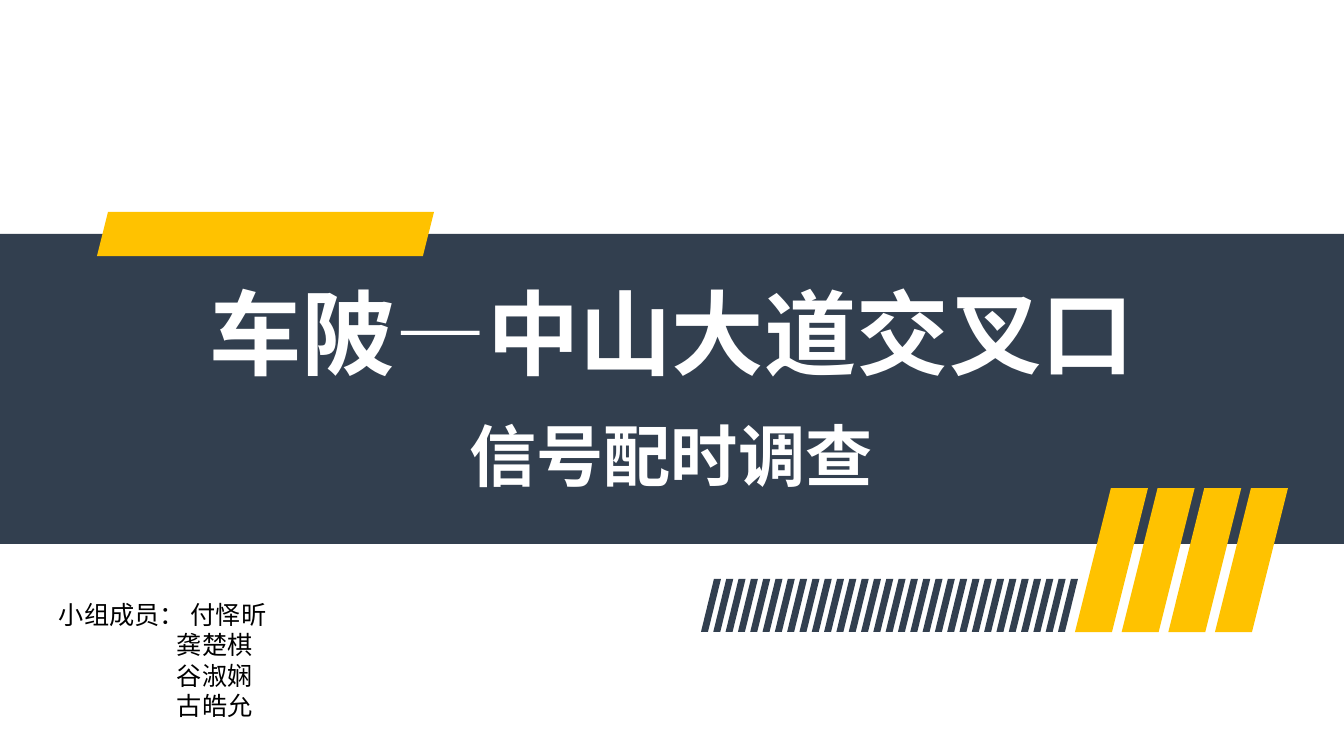
from dataclasses import dataclass

from lxml.etree import SubElement
from pptx import Presentation
from pptx.dml.color import RGBColor
from pptx.enum.shapes import MSO_SHAPE as Preset
from pptx.enum.text import MSO_ANCHOR as Anchor, MSO_AUTO_SIZE as AutoSize, PP_ALIGN as Align
from pptx.oxml.ns import qn
from pptx.shapes.base import BaseShape
from pptx.slide import Slide
from pptx.util import Emu, Pt

SLIDE_WIDTH, SLIDE_HEIGHT = 1344, 756
SCALE = 12192000 / SLIDE_WIDTH  # EMU in one px

NAVY = RGBColor(0x32, 0x3F, 0x4F)
YELLOW = RGBColor(0xFF, 0xC2, 0x00)
WHITE = RGBColor(0xFF, 0xFF, 0xFF)
BLACK = RGBColor(0x00, 0x00, 0x00)
FONT = "Noto Sans CJK SC"


@dataclass(frozen=True)
class Box:
    left: int
    top: int
    width: int
    height: int


@dataclass(frozen=True)
class Stripes:
    first_left: int
    last_left: int
    top: int
    height: int
    thickness: int
    slant: int
    count: int
    color: RGBColor


BAND = Box(0, 234, SLIDE_WIDTH, 310)
TAB = Box(97, 212, 337, 44)
TITLE = Box(168, 124, 1008, 263)
SUBTITLE = Box(167, 412, 1008, 182)
MEMBERS = Box(49, 594, 456, 132)
NAME_INDENT = 118

STRIPE_ROWS = [
    Stripes(1075, 1215, 488, 144, 37, 36, 4, YELLOW),
    Stripes(701, 1058, 579, 53, 7, 13, 30, NAVY),
]


def px(length: float) -> Emu:
    return Emu(round(length * SCALE))


def paint(shape: BaseShape, color: RGBColor) -> None:
    shape.shadow.inherit = False
    shape.fill.solid()
    shape.fill.fore_color.rgb = color
    shape.line.fill.background()


def add_block(slide: Slide, preset: Preset, box: Box, color: RGBColor) -> None:
    block = slide.shapes.add_shape(
        preset, px(box.left), px(box.top), px(box.width), px(box.height))
    paint(block, color)


def add_stripes(slide: Slide, row: Stripes) -> None:
    group = slide.shapes.add_group_shape()
    step = (row.last_left - row.first_left) / (row.count - 1)
    bottom = row.top + row.height
    for index in range(row.count):
        left = row.first_left + index * step
        outline = group.shapes.build_freeform(px(left + row.slant), px(row.top))
        outline.add_line_segments([
            (px(left + row.slant + row.thickness), px(row.top)),
            (px(left + row.thickness), px(bottom)),
            (px(left), px(bottom)),
        ])
        paint(outline.convert_to_shape(), row.color)


def write_text(shape: BaseShape, box: Box, lines: list[str], *, size: int,
               color: RGBColor, line_height: float, bold: bool = False,
               align: Align = Align.LEFT, anchor: Anchor = Anchor.TOP,
               bottom_inset: int = 5, hanging_indent: int = 0) -> None:
    shape.left, shape.top = px(box.left), px(box.top)
    shape.width, shape.height = px(box.width), px(box.height)
    frame = shape.text_frame
    frame.word_wrap = True
    frame.auto_size = AutoSize.NONE
    frame.vertical_anchor = anchor
    frame.margin_left = frame.margin_right = px(10)
    frame.margin_top, frame.margin_bottom = px(5), px(bottom_inset)
    for index, line in enumerate(lines):
        paragraph = frame.add_paragraph() if index else frame.paragraphs[0]
        paragraph.alignment = align
        paragraph.line_spacing = Pt(line_height)
        if index and hanging_indent:
            paragraph_format = paragraph._p.get_or_add_pPr()
            paragraph_format.set("marL", str(px(hanging_indent)))
            paragraph_format.set("indent", "0")
        run = paragraph.add_run()
        run.text = line
        run.font.size, run.font.bold = Pt(size), bold
        run.font.color.rgb = color
        run.font.name = FONT
        SubElement(run.font._element, qn("a:ea")).set("typeface", FONT)


def main() -> None:
    deck = Presentation()
    deck.slide_width, deck.slide_height = px(SLIDE_WIDTH), px(SLIDE_HEIGHT)
    slide = deck.slides.add_slide(deck.slide_layouts.get_by_name("Title Only"))
    title = slide.shapes.title

    # Band and tab behind the title
    add_block(slide, Preset.RECTANGLE, BAND, NAVY)
    add_block(slide, Preset.PARALLELOGRAM, TAB, YELLOW)

    # Title and subtitle, in front of the band
    slide.shapes._spTree.append(title._element)
    write_text(title, TITLE, ["车陂—中山大道交叉口"], size=66, color=WHITE,
               line_height=71, bold=True, align=Align.CENTER,
               anchor=Anchor.BOTTOM, bottom_inset=0)
    subtitle = slide.shapes.add_textbox(0, 0, 0, 0)
    write_text(subtitle, SUBTITLE, ["信号配时调查"], size=48, color=WHITE,
               line_height=56, bold=True, align=Align.CENTER)

    # Slanted stripes
    for row in STRIPE_ROWS:
        add_stripes(slide, row)

    # Group members
    members = slide.shapes.add_textbox(0, 0, 0, 0)
    write_text(members, MEMBERS, ["小组成员： 付怿昕", "龚楚棋", "谷淑娴", "古皓允"],
               size=18, color=BLACK, line_height=21.7, hanging_indent=NAME_INDENT)

    deck.save("out.pptx")


if __name__ == "__main__":
    main()
